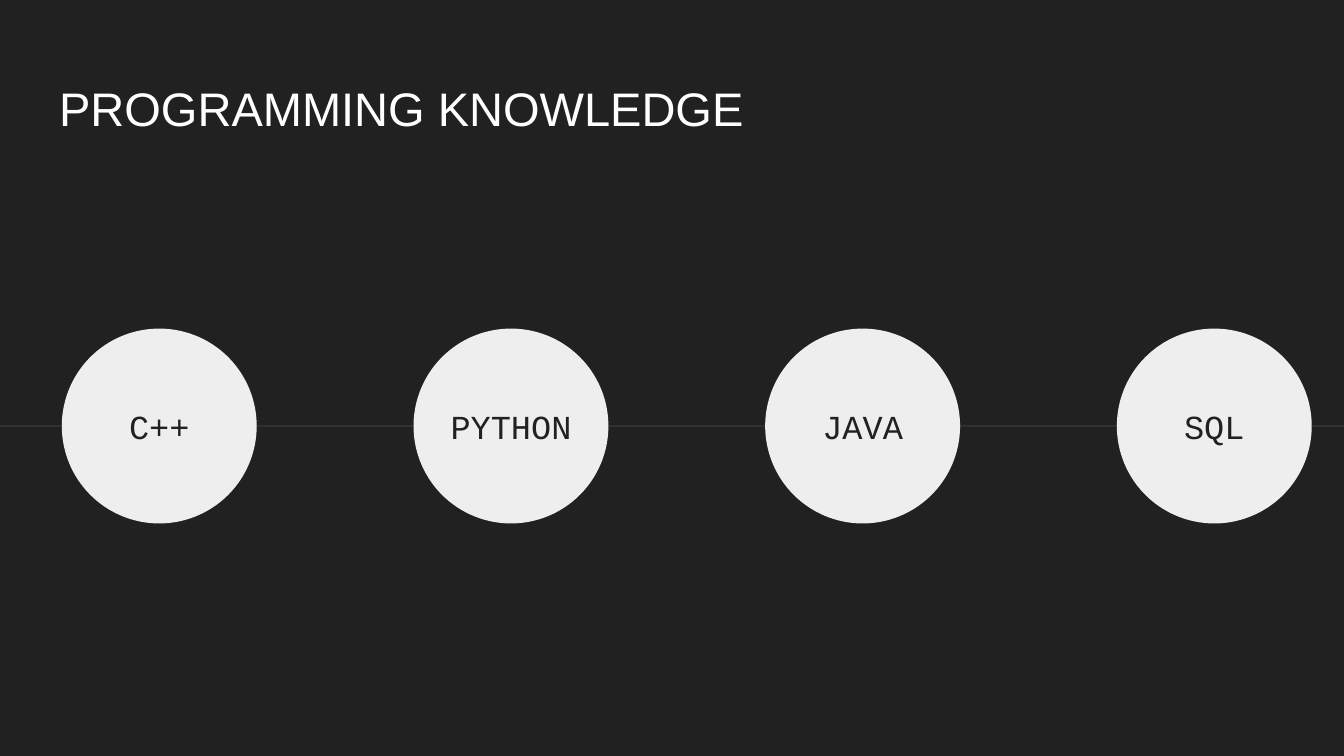
from pptx import Presentation
from pptx.dml.color import RGBColor
from pptx.enum.shapes import MSO_CONNECTOR, MSO_SHAPE
from pptx.enum.text import MSO_ANCHOR, MSO_AUTO_SIZE, PP_ALIGN
from pptx.oxml.ns import qn
from pptx.util import Inches, Pt
from lxml.etree import SubElement

TITLE = "PROGRAMMING KNOWLEDGE"
SKILLS = ["C++", "PYTHON", "JAVA", "SQL"]

THEME = {
    "back": RGBColor.from_string("212121"),
    "line": RGBColor.from_string("303030"),
    "disc": RGBColor.from_string("EEEEEE"),
    "title": {"font": "Arial", "size": 25.2, "color": RGBColor.from_string("FFFFFF")},
    "label": {"font": "Courier New", "size": 18, "color": RGBColor.from_string("212121")},
}

WIDTH = 10
HEIGHT = WIDTH * 9 / 16
FIRST, LAST, DISC = 0.46, 8.31, 1.45
STEP = (LAST - FIRST) / (len(SKILLS) - 1)
MIDDLE, LABEL = 3.17, 0.66


def set_text(shape, text, style, align, anchor):
    frame = shape.text_frame
    frame.text = text
    frame.word_wrap = True
    frame.auto_size = MSO_AUTO_SIZE.NONE
    frame.vertical_anchor = anchor
    frame.margin_left = frame.margin_right = Inches(0.1)
    frame.margin_top = frame.margin_bottom = Inches(0.1)
    para = frame.paragraphs[0]
    para.alignment = align
    font = para.runs[0].font
    font.name = style["font"]
    font.size = Pt(style["size"])
    font.color.rgb = style["color"]


def add_title(slide):
    title = slide.shapes.title
    title.left, title.top = Inches(0.34), Inches(0.49)
    title.width, title.height = Inches(9.32), Inches(0.63)
    set_text(title, TITLE, THEME["title"], PP_ALIGN.LEFT, MSO_ANCHOR.TOP)
    title.text_frame.paragraphs[0].space_before = Pt(0)


def add_line(slide):
    y = Inches(MIDDLE)
    line = slide.shapes.add_connector(
        MSO_CONNECTOR.STRAIGHT, 0, y, Inches(WIDTH), y)
    line.line.color.rgb = THEME["line"]
    line.line.width = Pt(1.5)
    SubElement(line.element.spPr, qn("a:effectLst"))


def add_skill(slide, index, name):
    x, size = Inches(FIRST + index * STEP), Inches(DISC)
    disc = slide.shapes.add_shape(
        MSO_SHAPE.OVAL, x, Inches(MIDDLE - DISC / 2), size, size)
    disc.shadow.inherit = False
    disc.fill.solid()
    disc.fill.fore_color.rgb = THEME["disc"]
    disc.line.fill.background()
    label = slide.shapes.add_textbox(
        x, Inches(MIDDLE - LABEL / 2), size, Inches(LABEL))
    set_text(label, name, THEME["label"], PP_ALIGN.CENTER, MSO_ANCHOR.MIDDLE)


def main():
    deck = Presentation()
    deck.slide_width, deck.slide_height = Inches(WIDTH), Inches(HEIGHT)
    slide = deck.slides.add_slide(deck.slide_layouts[5])
    slide.background.fill.solid()
    slide.background.fill.fore_color.rgb = THEME["back"]
    add_title(slide)
    add_line(slide)
    for index, name in enumerate(SKILLS):
        add_skill(slide, index, name)
    deck.save("out.pptx")


if __name__ == "__main__":
    main()
